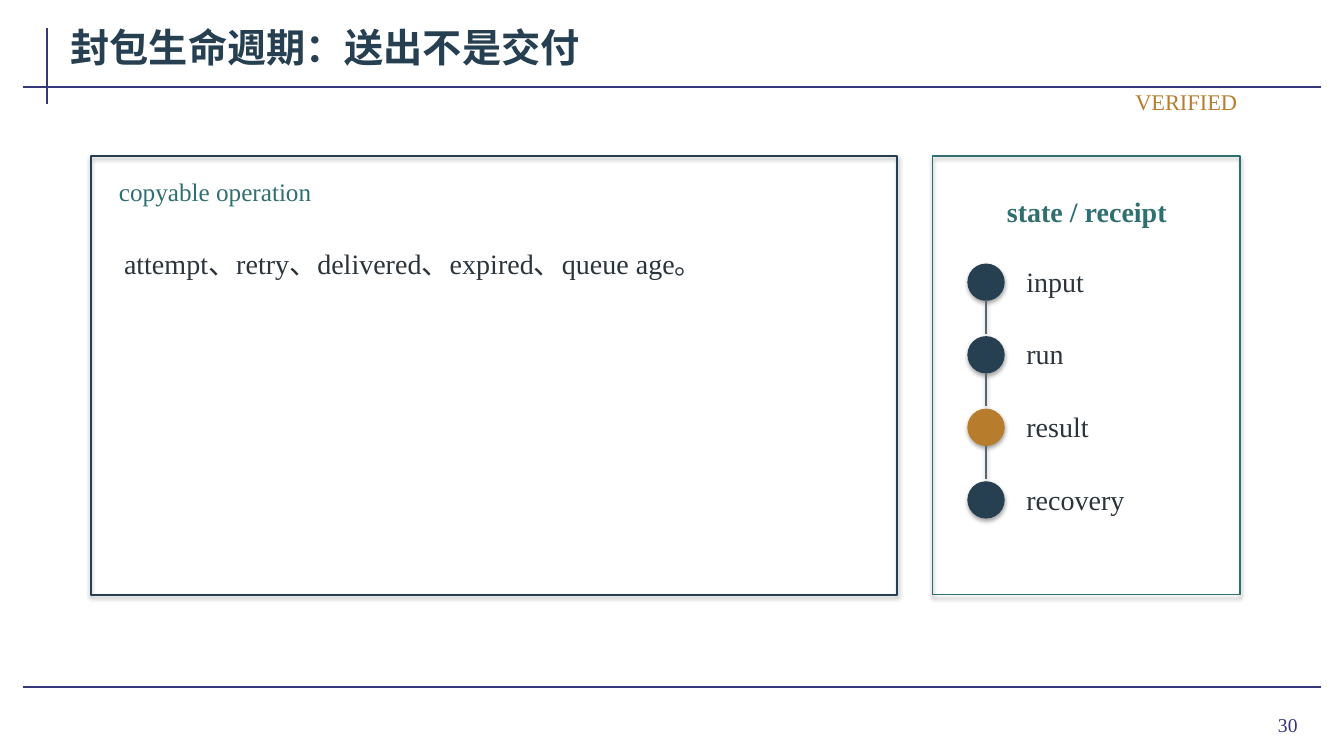
from lxml.etree import SubElement
from pptx import Presentation
from pptx.dml.color import RGBColor
from pptx.enum.shapes import MSO_CONNECTOR, MSO_SHAPE
from pptx.enum.text import MSO_ANCHOR, MSO_AUTO_SIZE, PP_ALIGN
from pptx.oxml.ns import qn
from pptx.util import Inches, Pt

# Content
COLORS = {
    "rule": "35377F", "navy": "263F51", "teal": "2F6F70",
    "gold": "B77D2D", "ink": "2A343A", "link": "59686F",
}
FONT = "Times New Roman"
LEFT, MID, RIGHT = PP_ALIGN.LEFT, PP_ALIGN.CENTER, PP_ALIGN.RIGHT

# Rules: start x, start y, end x, end y
RULES = [
    (0.47, 0.28, 0.47, 1.03),
    (0.23, 0.86, 13.1, 0.86),
    (0.23, 6.82, 13.1, 6.82),
]
# Panels: box, color, line width
PANELS = [
    ((0.9, 1.55, 8, 4.35), "navy", 1.4),
    ((9.25, 1.55, 3.05, 4.35), "teal", 1.1),
]
# Texts: words, box, size, color, bold, alignment, grows with its text
TEXTS = [
    ("封包生命週期：送出不是交付", (0.62, 0.15, 12.49, 0.62), 28, "navy", True, LEFT, False),
    ("30", (11.98, 6.93, 0.97, 0.52), 14, "rule", False, RIGHT, False),
    ("VERIFIED", (9.15, 0.86, 3.2, 0.3), 16, "gold", False, RIGHT, True),
    ("copyable operation", (1.1, 1.72, 7.6, 0.35), 18, "teal", False, LEFT, True),
    ("attempt、retry、delivered、expired、queue age。",
     (1.15, 2.25, 7.35, 0.72), 20, "ink", False, LEFT, True),
    ("state / receipt", (9.48, 1.82, 2.6, 0.55), 20, "teal", True, MID, True),
]
STEPS = [("input", "navy"), ("run", "navy"), ("result", "gold"), ("recovery", "navy")]
DOT_X, DOT_Y, DOT, PITCH = 9.6, 2.62, 0.36, 0.72
LABEL_X, LABEL_W, LABEL_H = 10.1, 1.85, 0.4
LINK = 0.33

deck = Presentation()
deck.slide_width, deck.slide_height = Inches(13.33), Inches(7.5)
slide = deck.slides.add_slide(deck.slide_layouts[6])
shapes = slide.shapes


def rgb(name):
    return RGBColor.from_string(COLORS[name])


def style(item, color, width, alpha=0, dist=0):
    """Set the outline, then the shadow; alpha 0 means no shadow."""
    item.line.color.rgb = rgb(color)
    item.line.width = Pt(width)
    effect = SubElement(item._element.spPr, qn("a:effectLst"))
    if alpha:
        shade = SubElement(effect, qn("a:outerShdw"), blurRad=str(Pt(3.1)),
                           dist=str(Pt(dist)), dir="5400000", rotWithShape="0")
        black = SubElement(shade, qn("a:srgbClr"), val="000000")
        SubElement(black, qn("a:alpha"), val=str(alpha * 1000))


def draw(kind, box, color, width, fill=None):
    item = shapes.add_shape(kind, *map(Inches, box))
    if fill:
        item.fill.solid()
        item.fill.fore_color.rgb = rgb(fill)
    else:
        item.fill.background()
    style(item, color, width, 35, 1.8)


def join(ends, color, width, alpha=0, dist=0):
    item = shapes.add_connector(MSO_CONNECTOR.STRAIGHT, *map(Inches, ends))
    style(item, color, width, alpha, dist)


def write(words, box, size, color, bold=False, align=LEFT, grow=True):
    frame = shapes.add_textbox(*map(Inches, box)).text_frame
    layout = {
        "word_wrap": True, "vertical_anchor": MSO_ANCHOR.MIDDLE,
        "auto_size": MSO_AUTO_SIZE.SHAPE_TO_FIT_TEXT if grow else MSO_AUTO_SIZE.NONE,
        "margin_left": Inches(0.08), "margin_right": Inches(0.08),
        "margin_top": Inches(0.04), "margin_bottom": Inches(0.04),
    }
    for key, value in layout.items():
        setattr(frame, key, value)
    para = frame.paragraphs[0]
    para.alignment = align
    run = para.add_run()
    run.text = words
    for key, value in {"name": FONT, "size": Pt(size), "bold": bold}.items():
        setattr(run.font, key, value)
    run.font.color.rgb = rgb(color)


# Page rules and panels
for ends in RULES:
    join(ends, "rule", 1.5)
for box, color, width in PANELS:
    draw(MSO_SHAPE.RECTANGLE, box, color, width)

# Title, page number, status and panel texts
for text in TEXTS:
    write(*text)

# State chain: dot, label and link to the next dot
for i, (name, color) in enumerate(STEPS):
    top = DOT_Y + i * PITCH
    draw(MSO_SHAPE.OVAL, (DOT_X, top, DOT, DOT), color, 0.75, color)
    label_y = top + (DOT - LABEL_H) / 2 - 0.01
    write(name, (LABEL_X, label_y, LABEL_W, LABEL_H), 20, "ink")
    if i < len(STEPS) - 1:
        x, y = DOT_X + DOT / 2, top + DOT
        join((x, y, x, y + LINK), "link", 0.9, 38, 1.6)

deck.save("out.pptx")
